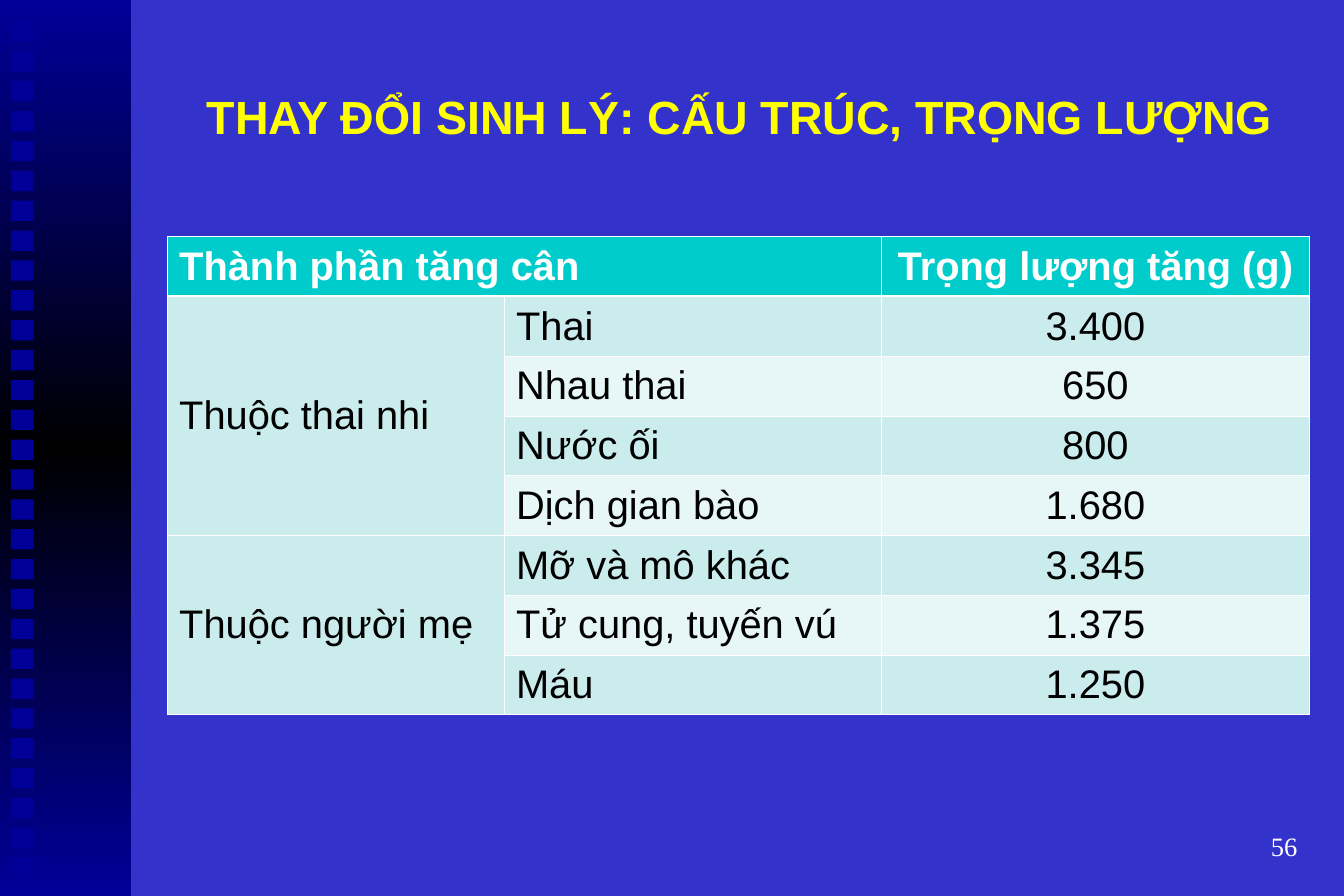
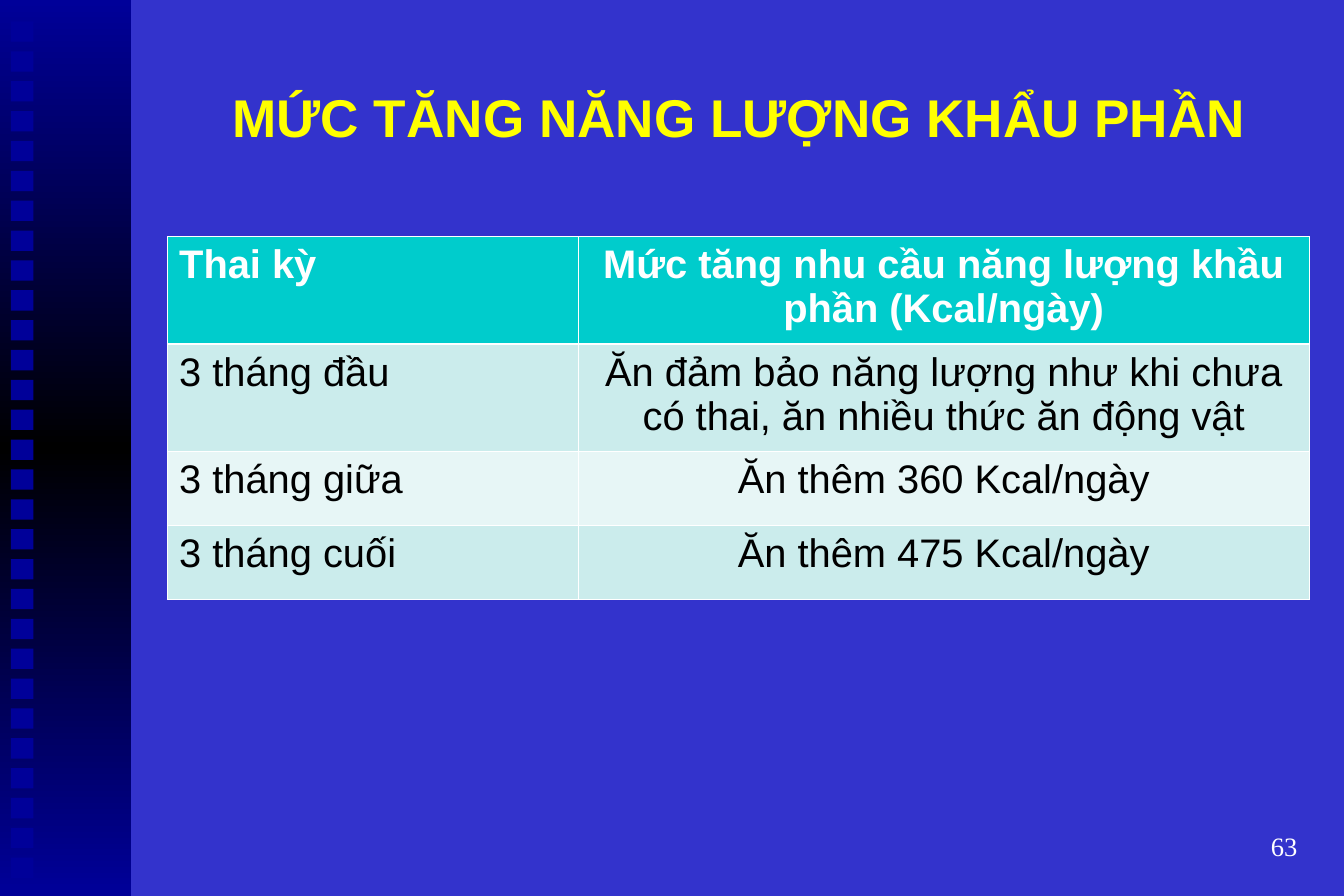
from copy import deepcopy

from lxml import etree
from pptx import Presentation
from pptx.dml.color import RGBColor
from pptx.enum.shapes import MSO_SHAPE
from pptx.enum.text import MSO_ANCHOR, PP_ALIGN
from pptx.oxml.ns import qn
from pptx.util import Pt

PX = 9144  # 100 px to the inch
RECTANGLE = MSO_SHAPE.RECTANGLE
TOP, MIDDLE = MSO_ANCHOR.TOP, MSO_ANCHOR.MIDDLE
LEFT, CENTER, RIGHT = PP_ALIGN.LEFT, PP_ALIGN.CENTER, PP_ALIGN.RIGHT

HEX = {
    "background": "3333CC",
    "navy": "000099",
    "black": "000000",
    "white": "FFFFFF",
    "title": "FFFF00",
    "header": "00CCCC",
    "odd row": "CBECEC",
    "even row": "E7F6F6",
}
COLORS = {name: RGBColor.from_string(value) for name, value in HEX.items()}
THIN, THICK = Pt(0.45), Pt(1.47)

# Each merge is (first row, first column, last row, last column).
SLIDES = [
    {
        "title": "THAY ĐỔI SINH LÝ: CẤU TRÚC, TRỌNG LƯỢNG",
        "title size": 28,
        "number": "56",
        "anchor": MIDDLE,
        "columns": [282, 316, 358],
        "row heights": [50] * 8,
        "merges": [(0, 0, 0, 1), (1, 0, 4, 0), (5, 0, 7, 0)],
        "rows": [
            ["Thành phần tăng cân", "", "Trọng lượng tăng (g)"],
            ["Thuộc thai nhi", "Thai", "3.400"],
            ["", "Nhau thai", "650"],
            ["", "Nước ối", "800"],
            ["", "Dịch gian bào", "1.680"],
            ["Thuộc người mẹ", "Mỡ và mô khác", "3.345"],
            ["", "Tử cung, tuyến vú", "1.375"],
            ["", "Máu", "1.250"],
        ],
    },
    {
        "title": "MỨC TĂNG NĂNG LƯỢNG KHẨU PHẦN",
        "title size": 32,
        "number": "63",
        "anchor": TOP,
        "columns": [344, 612],
        "row heights": [90, 90, 62, 62],
        "merges": [],
        "rows": [
            ["Thai kỳ", "Mức tăng nhu cầu năng lượng khầu phần (Kcal/ngày)"],
            ["3 tháng đầu", "Ăn đảm bảo năng lượng như khi chưa có thai, "
                            "ăn nhiều thức ăn động vật"],
            ["3 tháng giữa", "Ăn thêm 360 Kcal/ngày"],
            ["3 tháng cuối", "Ăn thêm 475 Kcal/ngày"],
        ],
    },
]


def write(frame, text, size, color, font_name="Arial", bold=False, alignment=LEFT):
    """Fill a text box or cell frame with one styled paragraph."""
    paragraph = frame.paragraphs[0]
    paragraph.text = text
    paragraph.alignment = alignment
    font = paragraph.font
    font.name, font.size, font.bold = font_name, Pt(size), bold
    font.color.rgb = COLORS[color]


def set_borders(cell, top, bottom):
    """Draw white cell borders; the sides are always thin."""
    properties = cell._tc.get_or_add_tcPr()
    widths = {"a:lnL": THIN, "a:lnR": THIN, "a:lnT": top, "a:lnB": bottom}
    for index, (tag, width) in enumerate(widths.items()):
        line = etree.Element(qn(tag), w=str(int(width)))
        fill = etree.SubElement(line, qn("a:solidFill"))
        etree.SubElement(fill, qn("a:srgbClr"), val=HEX["white"])
        properties.insert(index, line)


presentation = Presentation()
presentation.slide_width = 1125 * PX
presentation.slide_height = 750 * PX
background = presentation.slide_master.background.fill
background.solid()
background.fore_color.rgb = COLORS["background"]

for content in SLIDES:
    slide = presentation.slides.add_slide(presentation.slide_layouts[6])

    # Side band, dark in the middle, with a column of squares
    band = slide.shapes.add_shape(RECTANGLE, 0, 0, 110 * PX, 750 * PX)
    band.shadow.inherit = False
    band.line.fill.background()
    band.fill.gradient()
    band.fill.gradient_angle = 90
    stops = band.fill.gradient_stops
    for stop, color, position in zip(stops, ("navy", "black"), (0, 0.5)):
        stop.color.rgb = COLORS[color]
        stop.position = position
    stop_list = band._element.spPr.find(".//" + qn("a:gsLst"))
    last_stop = deepcopy(stop_list[0])
    last_stop.set("pos", "100000")
    stop_list.append(last_stop)

    squares = slide.shapes.add_group_shape()
    for index in range(29):
        square = squares.shapes.add_shape(
            RECTANGLE, 9 * PX, (18 + 25 * index) * PX, 19 * PX, 17 * PX)
        square.shadow.inherit = False
        square.line.fill.background()
        square.fill.solid()
        square.fill.fore_color.rgb = COLORS["navy"]

    # Title and slide number
    title = slide.shapes.add_textbox(141 * PX, 51 * PX, 956 * PX, 92 * PX)
    number = slide.shapes.add_textbox(863 * PX, 683 * PX, 234 * PX, 50 * PX)
    for box in (title, number):
        frame = box.text_frame
        frame.word_wrap = True
        frame.vertical_anchor = MIDDLE
        frame.margin_left = frame.margin_right = 11 * PX
        frame.margin_top = frame.margin_bottom = 6 * PX
    write(title.text_frame, content["title"], content["title size"], "title",
          bold=True, alignment=CENTER)
    write(number.text_frame, content["number"], 16, "white",
          font_name="Times New Roman", alignment=RIGHT)

    # Table
    rows, columns, heights = content["rows"], content["columns"], content["row heights"]
    table = slide.shapes.add_table(
        len(rows), len(columns), 140 * PX, 198 * PX,
        sum(columns) * PX, sum(heights) * PX).table
    table.horz_banding = False
    for column, width in zip(table.columns, columns):
        column.width = width * PX
    for row, height in zip(table.rows, heights):
        row.height = height * PX

    for row_index, texts in enumerate(rows):
        is_header = row_index == 0
        row_color = "header" if is_header else "odd row" if row_index % 2 else "even row"
        for column_index, text in enumerate(texts):
            cell = table.cell(row_index, column_index)
            cell.vertical_anchor = content["anchor"]
            cell.margin_left = cell.margin_right = 10 * PX
            cell.margin_top = cell.margin_bottom = 5 * PX
            cell.fill.solid()
            cell.fill.fore_color.rgb = COLORS[row_color]
            is_last_column = column_index == len(columns) - 1
            write(cell.text_frame, text, 24, "white" if is_header else "black",
                  bold=is_header, alignment=CENTER if is_last_column else LEFT)
            set_borders(cell, top=THICK if row_index == 1 else THIN,
                        bottom=THICK if is_header else THIN)

    for first_row, first_column, last_row, last_column in content["merges"]:
        table.cell(first_row, first_column).merge(table.cell(last_row, last_column))

presentation.save("out.pptx")
